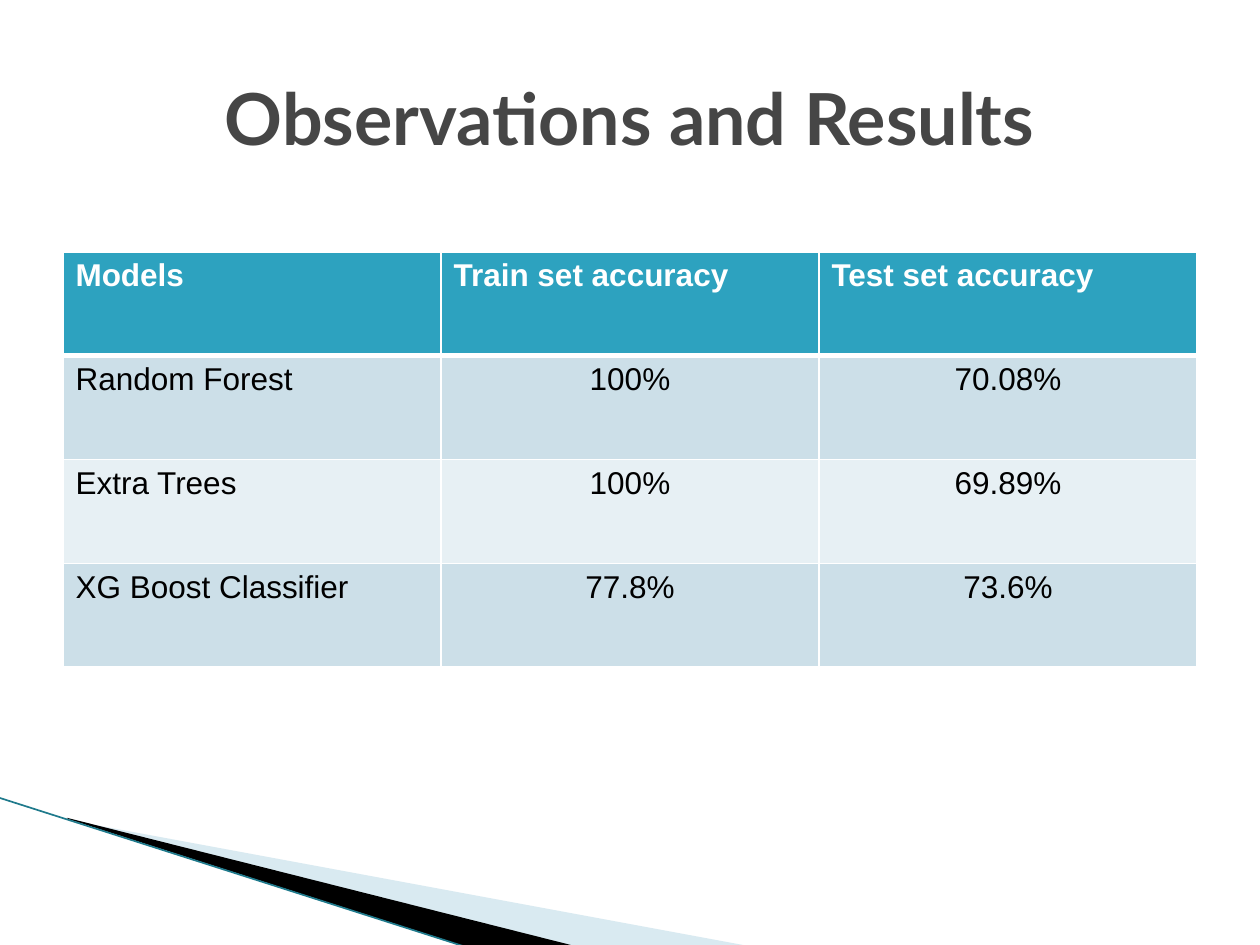
from dataclasses import dataclass

from lxml.etree import SubElement
from pptx import Presentation
from pptx.dml.color import RGBColor as RGB
from pptx.enum.shapes import MSO_CONNECTOR as Connector
from pptx.enum.text import MSO_ANCHOR as Anchor, PP_ALIGN as Align
from pptx.oxml.ns import qn
from pptx.util import Pt


@dataclass(frozen=True)
class Theme:
    title_font: str = "Lato"
    table_font: str = "Arial"
    title_size: float = 41
    table_size: float = 18
    title: str = "464646"
    header: str = "2DA2BF"
    bands: tuple[str, str] = ("CCDFE8", "E7F0F4")
    white: str = "FFFFFF"
    black: str = "000000"
    pale: str = "A0CBDC"
    edge: str = "1F7A8C"


@dataclass(frozen=True)
class Wedge:
    frame: tuple[float, float, float, float]
    points: tuple[tuple[float, float], ...]
    color: str
    opacity: int = 100


@dataclass(frozen=True)
class Result:
    model: str
    train: str
    test: str


THEME = Theme()
WEDGES = (
    Wedge((56.2, 393.8, 299.5, 113.8),
          ((39.6, 468.7), (428.4, 540.7), (328.3, 540.7), (39.6, 468)),
          THEME.pale, 40),
    Wedge((-4.3, 455.8, 299.5, 66.2),
          ((38.2, 467.3), (329, 540.7), (267.8, 541.4), (38.9, 468)),
          THEME.black),
)
HEADER = Result("Models", "Train set accuracy", "Test set accuracy")
RESULTS = (
    Result("Random Forest", "100%", "70.08%"),
    Result("Extra Trees", "100%", "69.89%"),
    Result("XG Boost Classifier", "77.8%", "73.6%"),
)


def add_text(p, text: str, font: str, size: float, color: str, bold: bool) -> None:
    r = p.add_run()
    r.text = text
    r.font.name = font
    r.font.size = Pt(size)
    r.font.bold = bold
    r.font.color.rgb = RGB.from_string(color)


def set_frame(sp, frame: tuple[float, float, float, float]) -> None:
    """Give a freeform a new frame while its outline stays in place."""
    left, top, width, height = map(Pt, frame)
    dx, dy = sp.left - left, sp.top - top
    outline = next(sp._element.iter(qn("a:path")))
    outline.set("w", str(width))
    outline.set("h", str(height))
    for pt in outline.iter(qn("a:pt")):
        pt.set("x", str(int(pt.get("x")) + dx))
        pt.set("y", str(int(pt.get("y")) + dy))
    sp.left, sp.top, sp.width, sp.height = left, top, width, height


def draw_wedge(slide, wedge: Wedge) -> None:
    start, *rest = [(Pt(x), Pt(y)) for x, y in wedge.points]
    builder = slide.shapes.build_freeform(*start)
    builder.add_line_segments(rest, close=True)
    sp = builder.convert_to_shape()
    set_frame(sp, wedge.frame)
    sp.shadow.inherit = False
    sp.line.fill.background()
    sp.fill.solid()
    sp.fill.fore_color.rgb = RGB.from_string(wedge.color)
    if wedge.opacity < 100:
        color = sp.fill._xPr.find(qn("a:solidFill"))[0]
        SubElement(color, qn("a:alpha"), val=str(wedge.opacity * 1000))


def draw_edge(slide) -> None:
    line = slide.shapes.add_connector(
        Connector.STRAIGHT, Pt(-0.7), Pt(455.8), Pt(267.1), Pt(541.4))
    line.line.color.rgb = RGB.from_string(THEME.edge)
    line.line.width = Pt(0.95)
    SubElement(line._element.spPr, qn("a:effectLst"))


def set_border(cell, side: str, width: float) -> None:
    ln = SubElement(cell._tc.get_or_add_tcPr(), qn(f"a:ln{side}"), w=str(Pt(width)))
    fill = SubElement(ln, qn("a:solidFill"))
    SubElement(fill, qn("a:srgbClr"), val=THEME.white)


def draw_cell(cell, text: str, row: int, col: int) -> None:
    is_header = row == 0
    # Borders come before the fill in the cell's XML.
    widths = {"L": 1, "R": 1, "T": 3 if row == 1 else 1, "B": 3 if is_header else 1}
    for side, width in widths.items():
        set_border(cell, side, width)
    cell.fill.solid()
    cell.fill.fore_color.rgb = RGB.from_string(
        THEME.header if is_header else THEME.bands[(row - 1) % 2])
    p = cell.text_frame.paragraphs[0]
    p.alignment = Align.LEFT if is_header or col == 0 else Align.CENTER
    add_text(p, text, THEME.table_font, THEME.table_size,
             THEME.white if is_header else THEME.black, is_header)


def draw_table(slide) -> None:
    rows = (HEADER, *RESULTS)
    table = slide.shapes.add_table(
        len(rows), 3, Pt(36), Pt(144), Pt(648), Pt(237.3)).table
    for i, result in enumerate(rows):
        for j, text in enumerate((result.model, result.train, result.test)):
            draw_cell(table.cell(i, j), text, i, j)


def draw_title(slide) -> None:
    sp = slide.shapes.title
    sp.left, sp.top, sp.width, sp.height = Pt(36), Pt(21.6), Pt(648), Pt(90)
    tf = sp.text_frame
    tf.vertical_anchor = Anchor.MIDDLE
    p = tf.paragraphs[0]
    p.alignment = Align.CENTER
    add_text(p, "Observations and Results", THEME.title_font,
             THEME.title_size, THEME.title, True)


def main() -> None:
    prs = Presentation()
    prs.slide_width, prs.slide_height = Pt(720), Pt(540)
    slide = prs.slides.add_slide(prs.slide_layouts[5])
    for wedge in WEDGES:
        draw_wedge(slide, wedge)
    draw_edge(slide)
    draw_table(slide)
    draw_title(slide)
    prs.save("out.pptx")


if __name__ == "__main__":
    main()
